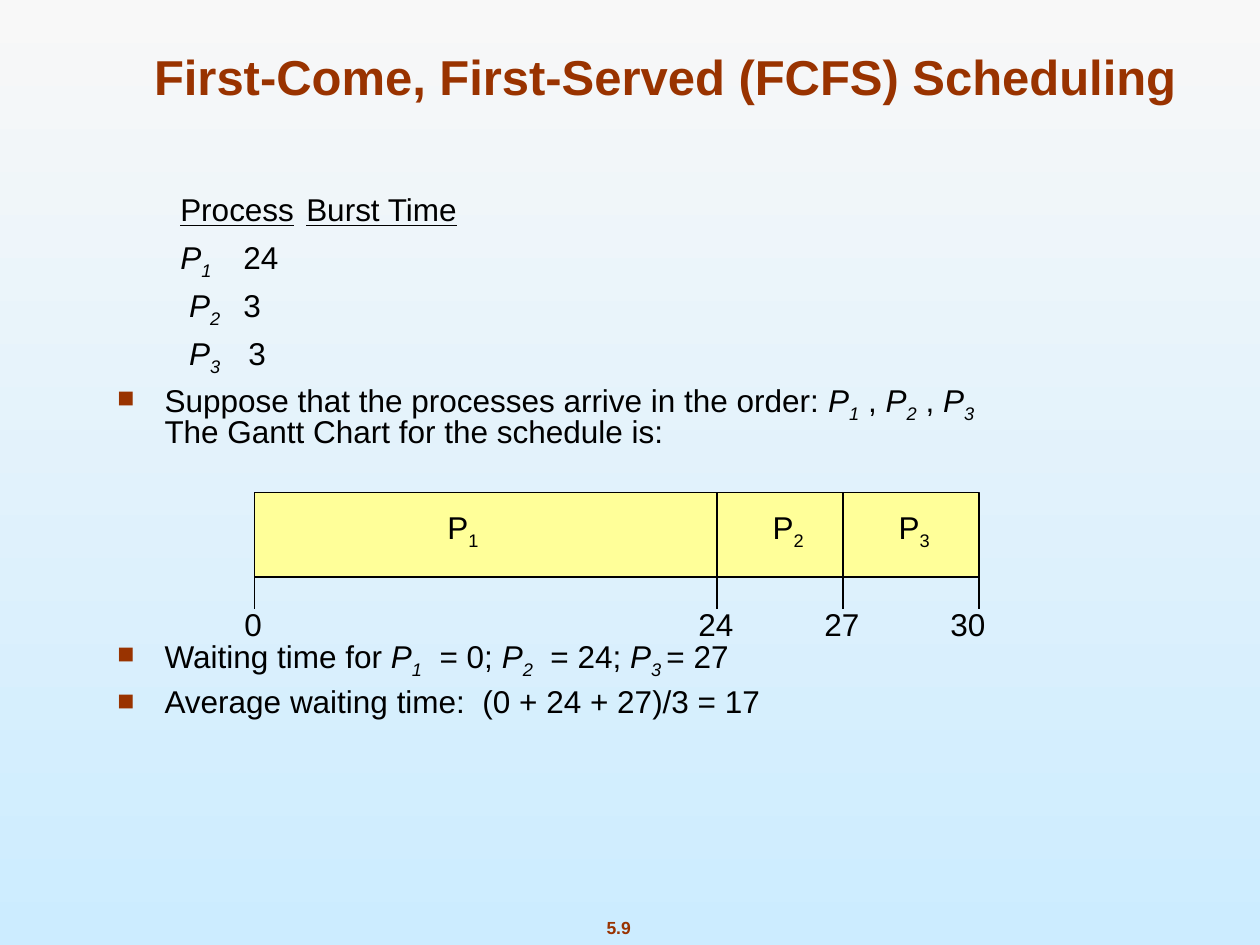
from lxml.etree import SubElement
from pptx import Presentation
from pptx.dml.color import RGBColor
from pptx.enum.shapes import MSO_CONNECTOR as CONN, MSO_SHAPE as SHAPE
from pptx.enum.text import MSO_ANCHOR as ANCHOR, MSO_AUTO_SIZE as FIT, PP_ALIGN as ALIGN
from pptx.oxml.ns import qn
from pptx.util import Pt

COLORS = {"accent": "993300", "text": "000000", "bar": "FFFF99",
          "bg_top": "F8F8F8", "bg_bottom": "CCECFF"}
FONT = "Arial"

TITLE = "First-Come, First-Served (FCFS) Scheduling"
PAGE = "5.9"

# Runs are (text, style); styles are keys of STYLES.
STYLES = {
    "plain": {},
    "under": {"underline": True},
    "name": {"italic": True},
    "sub": {"italic": True, "baseline": -25000},
    "low": {"baseline": -25000},
}
P1, P2, P3 = ([("P", "name"), (n, "sub")] for n in "123")
TAB, LEAD = [("\t", "plain")], [("\t ", "plain")]
ROWS = [
    TAB + [("Process", "under"), ("\t", "plain"), ("Burst Time", "under")],
    TAB + P1 + [("\t24", "plain")],
    LEAD + P2 + [("\t3", "plain")],
    LEAD + P3 + [("\t", "plain"), (" ", "sub"), ("3", "plain")],
]
COMMA = [(" , ", "plain")]
# Each point: space before, runs. The second leaves room for the chart.
POINTS = [
    (7, [("Suppose that the processes arrive in the order: ", "plain")]
        + P1 + COMMA + P2 + COMMA + P3
        + [("\n", "plain"), ("The Gantt Chart for the schedule is:", "plain")]),
    (109.5, [("Waiting time for ", "plain")] + P1 + [("  = 0; ", "plain")]
        + P2 + [("  = 24; ", "plain")] + P3 + [(" ", "sub"), ("= 27", "plain")]),
    (7.9, [("Average waiting time:  (0 + 24 + 27)/3 = 17", "plain")]),
]
ROW_TABS = (99, 171)
INDENT = 27

BAR_TOP, BAR_BOTTOM, TICK_BOTTOM = 281.5, 329.7, 347.8
BOUNDS = [145.4, 409.7, 481.7, 559.4]
TIMES = [("0", 144.7), ("24", 409), ("27", 481), ("30", 553)]
SEGMENTS = [("1", 264.6), ("2", 450.4), ("3", 522.4)]


def rgb(name):
    return RGBColor.from_string(COLORS[name])


def add_runs(p, runs, size=18, color="text", **extra):
    for text, style in runs:
        if text == "\n":
            p.add_line_break()
            continue
        r = p.add_run()
        r.text = text
        fmt = {"name": FONT, "size": Pt(size), **STYLES[style], **extra}
        baseline = fmt.pop("baseline", None)
        for key, value in fmt.items():
            setattr(r.font, key, value)
        r.font.color.rgb = rgb(color)
        if baseline:
            r.font._element.set("baseline", str(baseline))


def place(sp, left, top, width, height):
    sp.left, sp.top, sp.width, sp.height = map(Pt, (left, top, width, height))


def set_layout(p, margin, before):
    """Set indents and spacing, and return the paragraph properties."""
    p.line_spacing, p.space_before = 0.8, Pt(before)
    pPr = p._p.get_or_add_pPr()
    pPr.set("marL", str(Pt(margin)))
    pPr.set("indent", str(-Pt(margin)))
    return pPr


def add_row(p, runs):
    pPr = set_layout(p, 0, 7.9)
    SubElement(pPr, qn("a:buNone"))
    tabs = SubElement(pPr, qn("a:tabLst"))
    for pos in ROW_TABS:
        SubElement(tabs, qn("a:tab"), pos=str(Pt(pos)), algn="l")
    add_runs(p, runs)


def add_point(p, before, runs):
    pPr = set_layout(p, INDENT, before)
    color = SubElement(pPr, qn("a:buClr"))
    SubElement(color, qn("a:srgbClr"), val=COLORS["accent"])
    SubElement(pPr, qn("a:buSzPct"), val="90000")
    SubElement(pPr, qn("a:buFont"), typeface=FONT)
    SubElement(pPr, qn("a:buChar"), char="■")
    add_runs(p, runs)


def add_label(slide, runs, center, top, width, height, **fmt):
    sp = slide.shapes.add_textbox(
        Pt(center - width / 2), Pt(top), Pt(width), Pt(height))
    tf = sp.text_frame
    tf.word_wrap = False
    tf.vertical_anchor = ANCHOR.MIDDLE
    p = tf.paragraphs[0]
    p.alignment = ALIGN.CENTER
    add_runs(p, runs, **fmt)


def add_line(slide, x, top, bottom):
    cn = slide.shapes.add_connector(CONN.STRAIGHT, Pt(x), Pt(top), Pt(x), Pt(bottom))
    cn.line.color.rgb, cn.line.width = rgb("text"), Pt(0.75)
    SubElement(cn._element.spPr, qn("a:effectLst"))


def add_gantt(slide):
    left, right = BOUNDS[0], BOUNDS[-1]
    bar = slide.shapes.add_shape(SHAPE.RECTANGLE, Pt(left), Pt(BAR_TOP),
                                 Pt(right - left), Pt(BAR_BOTTOM - BAR_TOP))
    bar.shadow.inherit = False
    bar.fill.solid()
    bar.fill.fore_color.rgb = rgb("bar")
    bar.line.color.rgb, bar.line.width = rgb("text"), Pt(0.75)
    for number, center in SEGMENTS:
        add_label(slide, [("P", "plain"), (number, "low")], center, 286.6, 32.4, 31.7)
    for x in BOUNDS[1:-1]:
        add_line(slide, x, BAR_TOP, BAR_BOTTOM)
    for x in BOUNDS:
        add_line(slide, x, BAR_BOTTOM, TICK_BOTTOM)
    for time, center in TIMES:
        add_label(slide, [(time, "plain")], center, 342, 34.6, 28.8)


def main():
    prs = Presentation()
    prs.slide_width, prs.slide_height = Pt(720), Pt(540)
    slide = prs.slides.add_slide(prs.slide_layouts[1])

    bg = slide.background.fill
    bg.gradient()
    bg.gradient_angle = 270
    for stop, name in zip(bg.gradient_stops, ("bg_top", "bg_bottom")):
        stop.color.rgb = rgb(name)

    title, body = slide.placeholders
    place(title, 51.8, 28.1, 656.6, 36)
    tf = title.text_frame
    tf.auto_size, tf.vertical_anchor = FIT.NONE, ANCHOR.BOTTOM
    p = tf.paragraphs[0]
    p.alignment = ALIGN.CENTER
    add_runs(p, [(TITLE, "plain")], 28, "accent", bold=True)

    place(body, 59.8, 109.4, 595.4, 324)
    tf = body.text_frame
    tf.auto_size = FIT.NONE
    paragraphs = [tf.paragraphs[0]]
    paragraphs += [tf.add_paragraph() for _ in (ROWS + POINTS)[1:]]
    for p, runs in zip(paragraphs, ROWS):
        add_row(p, runs)
    for p, (before, runs) in zip(paragraphs[len(ROWS):], POINTS):
        add_point(p, before, runs)

    add_gantt(slide)
    add_label(slide, [(PAGE, "plain")], 353.5, 520.6, 70.6, 19.4,
              size=10, color="accent", bold=True)
    prs.save("out.pptx")


if __name__ == "__main__":
    main()
